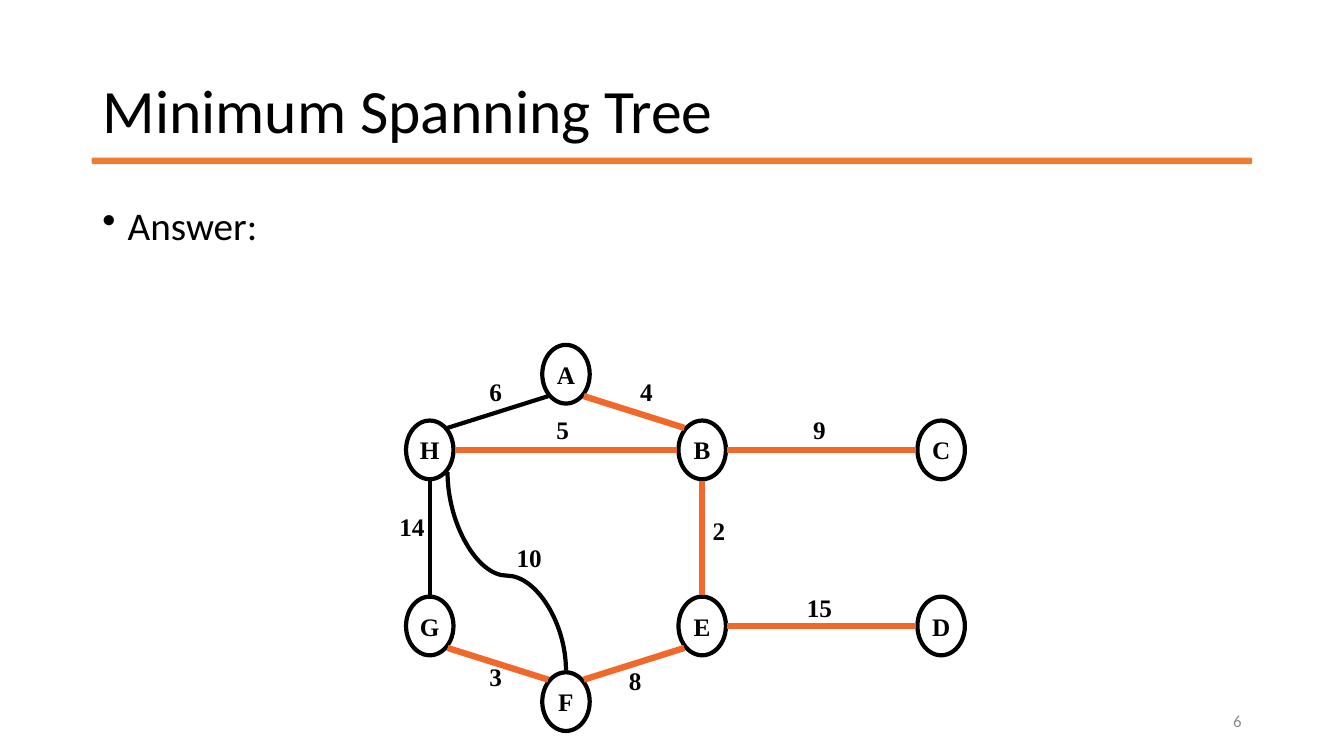
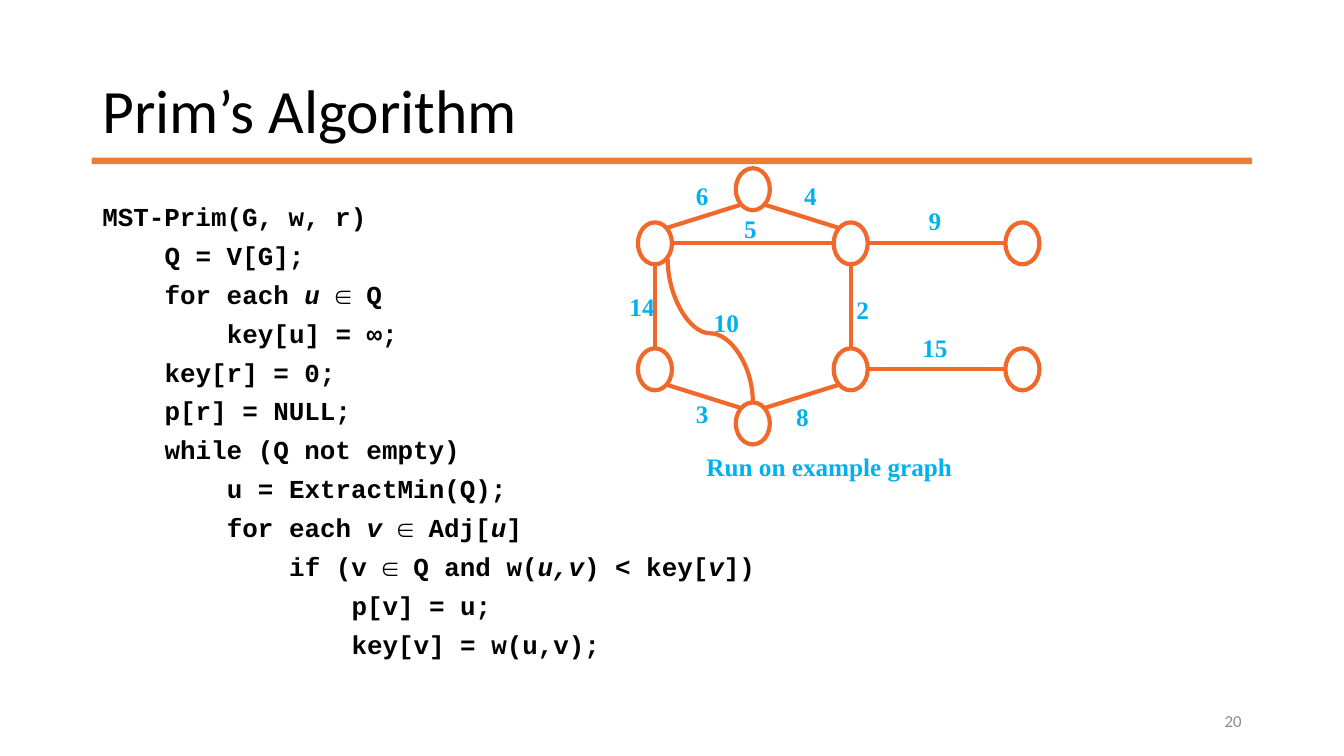
from collections import namedtuple
from dataclasses import dataclass
from math import cos, radians, sin

from lxml.etree import SubElement
from pptx import Presentation
from pptx.dml.color import RGBColor
from pptx.enum.shapes import MSO_CONNECTOR, MSO_SHAPE
from pptx.enum.text import MSO_ANCHOR, PP_ALIGN
from pptx.oxml.ns import qn
from pptx.util import Cm, Pt


@dataclass(frozen=True)
class Theme:
    black: str = "000000"
    rule: str = "ED7D31"
    orange: str = "F1682B"
    blue: str = "00B0F0"
    grey: str = "8C8C8C"
    sans: str = "Calibri"
    serif: str = "Times New Roman"
    mono: str = "Courier New"
    title: float = 44
    body: float = 28
    code: float = 18.5
    label: float = 18
    page: float = 12
    thin: float = 3
    thick: float = 4.5


Box = namedtuple("Box", "left top width height")
Edge = namedtuple("Edge", "start exit end entry weight across")

theme = Theme()
HEAD = Box(2.33, 1.02, 29.21, 3.68)
RULE = Box(2.33, 3.99, 29.21, 0.13)
BODY = Box(2.33, 5.08, 29.21, 12.09)
PAGE = Box(23.92, 17.65, 7.62, 1.01)
STEP = 1.57

NODES = {
    "H": (0.042, 0.272), "B": (0.53, 0.272), "C": (0.958, 0.272),
    "G": (0.042, 0.728), "E": (0.53, 0.728), "D": (0.958, 0.728),
    "F": (0.286, 0.924), "A": (0.286, 0.076),
}
EDGES = [
    Edge("A", 45, "B", 225, 4, 0.43),
    Edge("A", 135, "H", 315, 6, 0.16),
    Edge("H", 0, "B", 180, 5, 0.28),
    Edge("G", 270, "H", 90, 14, 0.01),
    Edge("G", 45, "F", 225, 3, 0.16),
    Edge("F", 315, "E", 135, 8, 0.41),
    Edge("E", 270, "B", 90, 2, 0.56),
    Edge("B", 0, "C", 180, 9, 0.74),
    Edge("E", 0, "D", 180, 15, 0.74),
    Edge("F", 270, "H", 45, 10, 0.22),
]
CODE = [
    (0, "MST-Prim(G, w, r)"),
    (1, "Q = V[G];"),
    (1, "for each *u *∈ Q"),
    (2, "key[u] = ∞;"),
    (1, "key[r] = 0;"),
    (1, "p[r] = NULL;"),
    (1, "while (Q not empty)"),
    (2, "u = ExtractMin(Q);"),
    (2, "for each *v *∈ Adj[*u*]"),
    (3, "if (v ∈ Q and w(*u,v*) < key[*v*])"),
    (4, "p[v] = u;"),
    (4, "key[v] = w(u,v);"),
]


def place(box):
    return [Cm(side) for side in box]


def paint(para, size, color, font, bold=False):
    for run in para.runs:
        run.font.size = Pt(size)
        run.font.name = font
        run.font.bold = bold
        run.font.color.rgb = RGBColor.from_string(color)


def indent(para, left, hang=0, mark=None):
    props = para._p.get_or_add_pPr()
    props.set("marL", str(Cm(left)))
    props.set("indent", str(Cm(-hang)))
    if mark:
        SubElement(props, qn("a:buChar")).set("char", mark)


def stroke(line, color, width):
    line.color.rgb = RGBColor.from_string(color)
    line.width = Pt(width)


def label(slide, x, y, text, color, width):
    high = 1.02
    box = Box(x - width / 2, y - high / 2, width, high)
    frame = slide.shapes.add_textbox(*place(box)).text_frame
    frame.word_wrap = False
    frame.text = text
    para = frame.paragraphs[0]
    para.alignment = PP_ALIGN.CENTER
    paint(para, theme.label, color, theme.serif, True)


def base(deck, title, number):
    slide = deck.slides.add_slide(deck.slide_layouts[5])
    rule = slide.shapes.add_shape(MSO_SHAPE.ROUNDED_RECTANGLE, *place(RULE))
    rule.shadow.inherit = False
    rule.fill.solid()
    rule.fill.fore_color.rgb = RGBColor.from_string(theme.rule)
    stroke(rule.line, theme.rule, 1)

    head = slide.shapes.title
    head.left, head.top, head.width, head.height = place(HEAD)
    frame = head.text_frame
    frame.text = title
    frame.vertical_anchor = MSO_ANCHOR.MIDDLE
    para = frame.paragraphs[0]
    para.alignment = PP_ALIGN.LEFT
    para.line_spacing = 0.9
    paint(para, theme.title, theme.black, theme.sans)

    frame = slide.shapes.add_textbox(*place(PAGE)).text_frame
    frame.word_wrap = True
    frame.vertical_anchor = MSO_ANCHOR.MIDDLE
    frame.text = str(number)
    frame.paragraphs[0].alignment = PP_ALIGN.RIGHT
    paint(frame.paragraphs[0], theme.page, theme.grey, theme.sans)
    return slide


def point(slide, box):
    frame = slide.shapes.add_textbox(*place(box)).text_frame
    frame.word_wrap = True
    frame.text = "Answer:"
    para = frame.paragraphs[0]
    para.line_spacing = 0.9
    para.space_before = Pt(10)
    indent(para, 0.64, 0.64, "•")
    paint(para, theme.body, theme.black, theme.sans)


def listing(slide, box):
    frame = slide.shapes.add_textbox(*place(box)).text_frame
    frame.word_wrap = True
    for row, (level, text) in enumerate(CODE):
        para = frame.add_paragraph() if row else frame.paragraphs[0]
        para.line_spacing = 0.8
        para.space_before = Pt(10)
        indent(para, level * STEP)
        for part, piece in enumerate(text.split("*")):
            run = para.add_run()
            run.text = piece
            run.font.italic = part % 2 == 1
        paint(para, theme.code, theme.black, theme.mono, True)


def curve(slide, start, end):
    (x1, y1), (x2, y2) = start, end
    midx, midy = (x1 + x2) / 2, (y1 + y2) / 2
    wide, high = x1 - x2, y1 - y2
    ends = Box(midx + high / 2, midy - wide / 2,
               midx - high / 2, midy + wide / 2)
    link = slide.shapes.add_connector(MSO_CONNECTOR.CURVE, *place(ends))
    props = link.element.spPr
    props.find(qn("a:xfrm")).set("rot", "5400000")
    guides = props.find(qn("a:prstGeom")).find(qn("a:avLst"))
    guide = SubElement(guides, qn("a:gd"))
    guide.set("name", "adj1")
    guide.set("fmla", "val 47800")
    return link


def graph(slide, box, ink, tint, heights, tree=(), named=False):
    wide, high = 0.085 * box.width, 0.152 * box.height

    def spot(x, y):
        return box.left + x * box.width, box.top + y * box.height

    def rim(name, angle):
        x, y = spot(*NODES[name])
        turn = radians(angle)
        return x + 0.53 * wide * cos(turn), y + 0.53 * high * sin(turn)

    for name, where in NODES.items():
        x, y = spot(*where)
        oval = Box(x - wide / 2, y - high / 2, wide, high)
        node = slide.shapes.add_shape(MSO_SHAPE.OVAL, *place(oval))
        node.shadow.inherit = False
        node.fill.background()
        stroke(node.line, ink, theme.thin)
        if named:
            frame = node.text_frame
            frame.word_wrap = False
            frame.vertical_anchor = MSO_ANCHOR.MIDDLE
            frame.text = name
            frame.paragraphs[0].alignment = PP_ALIGN.CENTER
            paint(frame.paragraphs[0], theme.label, tint, theme.serif, True)

    for edge in EDGES:
        start, end = rim(edge.start, edge.exit), rim(edge.end, edge.entry)
        if (edge.start, edge.end) == ("F", "H"):
            link = curve(slide, start, end)
        else:
            link = slide.shapes.add_connector(
                MSO_CONNECTOR.STRAIGHT, *place(start + end))
        if edge.weight in tree:
            stroke(link.line, theme.orange, theme.thick)
        else:
            stroke(link.line, ink, theme.thin)
        SubElement(link.element.spPr, qn("a:effectLst"))

    for edge in EDGES:
        text = str(edge.weight)
        x, y = spot(edge.across, heights[edge.weight])
        label(slide, x, y, text, tint, 0.54 + 0.3 * len(text))


def answer(deck):
    slide = base(deck, "Minimum Spanning Tree", 6)
    point(slide, BODY)
    heights = {14: 0.47, 10: 0.55, 3: 0.86, 6: 0.12, 4: 0.12,
               5: 0.22, 2: 0.48, 9: 0.22, 15: 0.68, 8: 0.87}
    graph(slide, Box(10.24, 8.69, 14.07, 9.73), theme.black, theme.black,
          heights, {2, 3, 4, 5, 8, 9, 15}, True)


def prim(deck):
    slide = base(deck, "Prim’s Algorithm", 20)
    listing(slide, BODY)
    heights = {14: 0.5, 10: 0.56, 3: 0.89, 6: 0.1, 4: 0.1,
               5: 0.22, 2: 0.51, 9: 0.19, 15: 0.65, 8: 0.9}
    box = Box(16.08, 4.24, 10.11, 6.96)
    graph(slide, box, theme.orange, theme.blue, heights)
    label(slide, box.left + 4.82, box.top + box.height + 0.56,
          "Run on example graph", theme.blue, 6.76)


deck = Presentation()
deck.slide_width, deck.slide_height = Cm(33.87), Cm(19.05)
answer(deck)
prim(deck)
deck.save("out.pptx")
